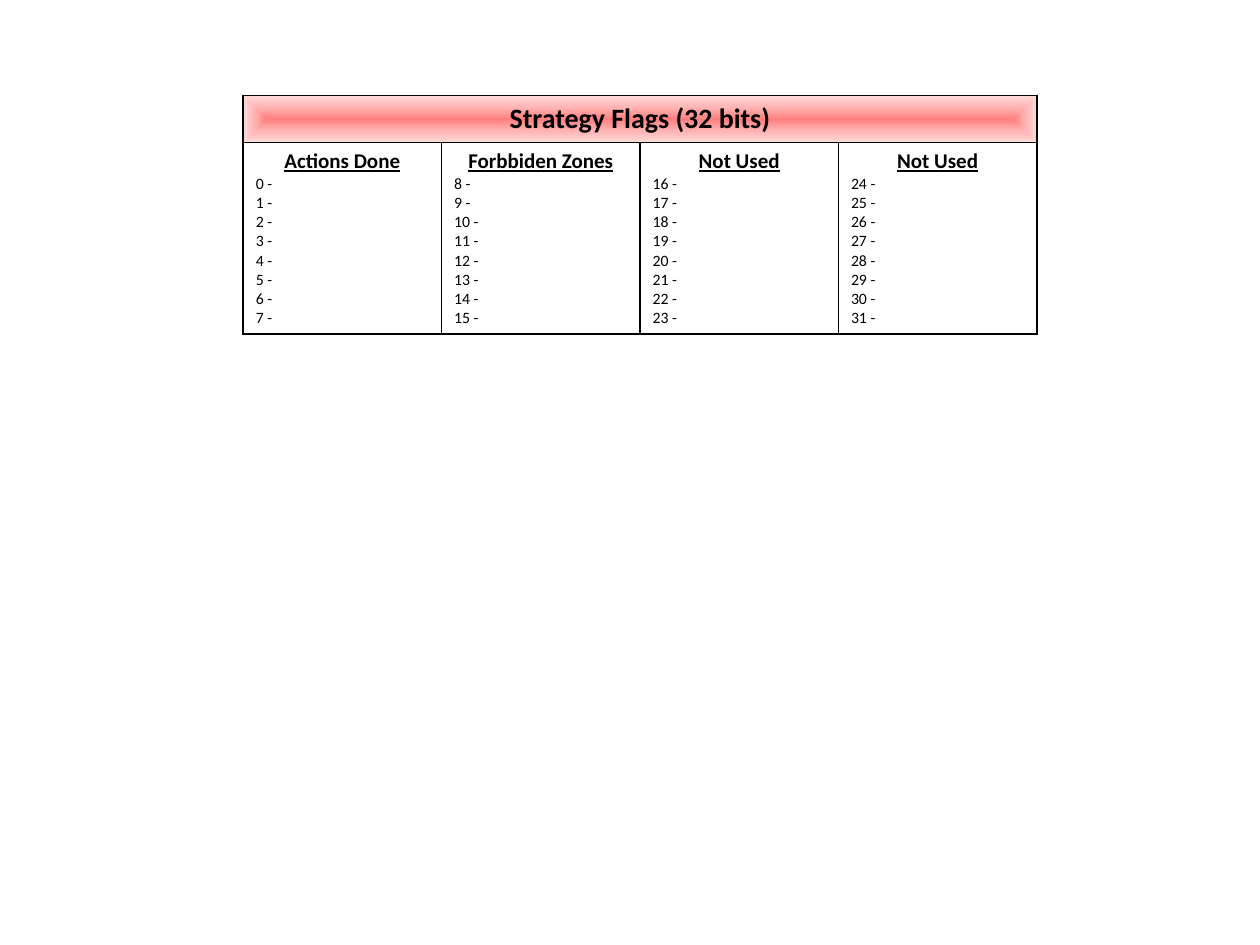
from lxml import etree
from pptx import Presentation
from pptx.dml.color import RGBColor
from pptx.enum.text import PP_ALIGN
from pptx.oxml import parse_xml
from pptx.oxml.ns import nsdecls, qn
from pptx.util import Inches, Pt

CENTER, LEFT = PP_ALIGN.CENTER, PP_ALIGN.LEFT
BLACK = RGBColor(0x00, 0x00, 0x00)
HEADER_STOPS = (
    (0, RGBColor(0xFF, 0x80, 0x80)),
    (50, RGBColor(0xFF, 0xB3, 0xB3)),
    (100, RGBColor(0xFF, 0xDA, 0xDA)),
)
TITLE = "Strategy Flags (32 bits)"
GROUPS = ("Actions Done", "Forbbiden Zones", "Not Used", "Not Used")
BITS_PER_GROUP = 8


class SlideBuilder:
    font = "Calibri"

    def __init__(self, slide):
        self.s = slide

    def table(self, x, y, col_widths, row_heights):
        shape = self.s.shapes.add_table(
            len(row_heights), len(col_widths), Inches(x), Inches(y),
            Inches(sum(col_widths)), Inches(sum(row_heights)))
        table = shape.table
        table.first_row = table.horz_banding = False
        for column, width in zip(table.columns, col_widths):
            column.width = Inches(width)
        for row, height in zip(table.rows, row_heights):
            row.height = Inches(height)
        for cell in table.iter_cells():
            self.borders(cell)
            cell.fill.background()
        return table

    def borders(self, cell, color=BLACK, width=1):
        tcPr = cell._tc.get_or_add_tcPr()
        for side in ("a:lnL", "a:lnR", "a:lnT", "a:lnB"):
            ln = etree.SubElement(tcPr, qn(side), w=str(Pt(width)))
            fill = etree.SubElement(ln, qn("a:solidFill"))
            etree.SubElement(fill, qn("a:srgbClr"), val=str(color))

    def rect_gradient(self, cell, stops):
        tcPr = cell._tc.get_or_add_tcPr()
        tcPr.remove(tcPr.find(qn("a:noFill")))
        gs = "".join(
            f'<a:gs pos="{pos * 1000}"><a:srgbClr val="{color}"/></a:gs>'
            for pos, color in stops)
        tcPr.append(parse_xml(
            f'<a:gradFill {nsdecls("a")} rotWithShape="1"><a:gsLst>{gs}</a:gsLst>'
            '<a:path path="rect"><a:fillToRect l="50000" t="50000" r="50000" b="50000"/>'
            '</a:path></a:gradFill>'))

    def paragraph(self, p, text, size, align=LEFT, bold=False, underline=False):
        p.alignment = align
        r = p.add_run()
        r.text = text
        r.font.name = self.font
        r.font.size = Pt(size)
        r.font.bold = bold
        r.font.underline = underline
        r.font.color.rgb = BLACK


prs = Presentation()
prs.slide_width, prs.slide_height = Inches(10), Inches(7.5)
b = SlideBuilder(prs.slides.add_slide(prs.slide_layouts[6]))

flags = b.table(1.93, 0.76, [1.575] * len(GROUPS), [0.37, 1.5])
header = flags.cell(0, 0)
header.merge(flags.cell(0, len(GROUPS) - 1))
b.rect_gradient(header, HEADER_STOPS)
b.paragraph(header.text_frame.paragraphs[0], TITLE, 16, CENTER, bold=True)

for col, group in enumerate(GROUPS):
    tf = flags.cell(1, col).text_frame
    b.paragraph(tf.paragraphs[0], group, 12, CENTER, bold=True, underline=True)
    first = col * BITS_PER_GROUP
    for bit in range(first, first + BITS_PER_GROUP):
        b.paragraph(tf.add_paragraph(), f"{bit} -", 9)

prs.save("out.pptx")
